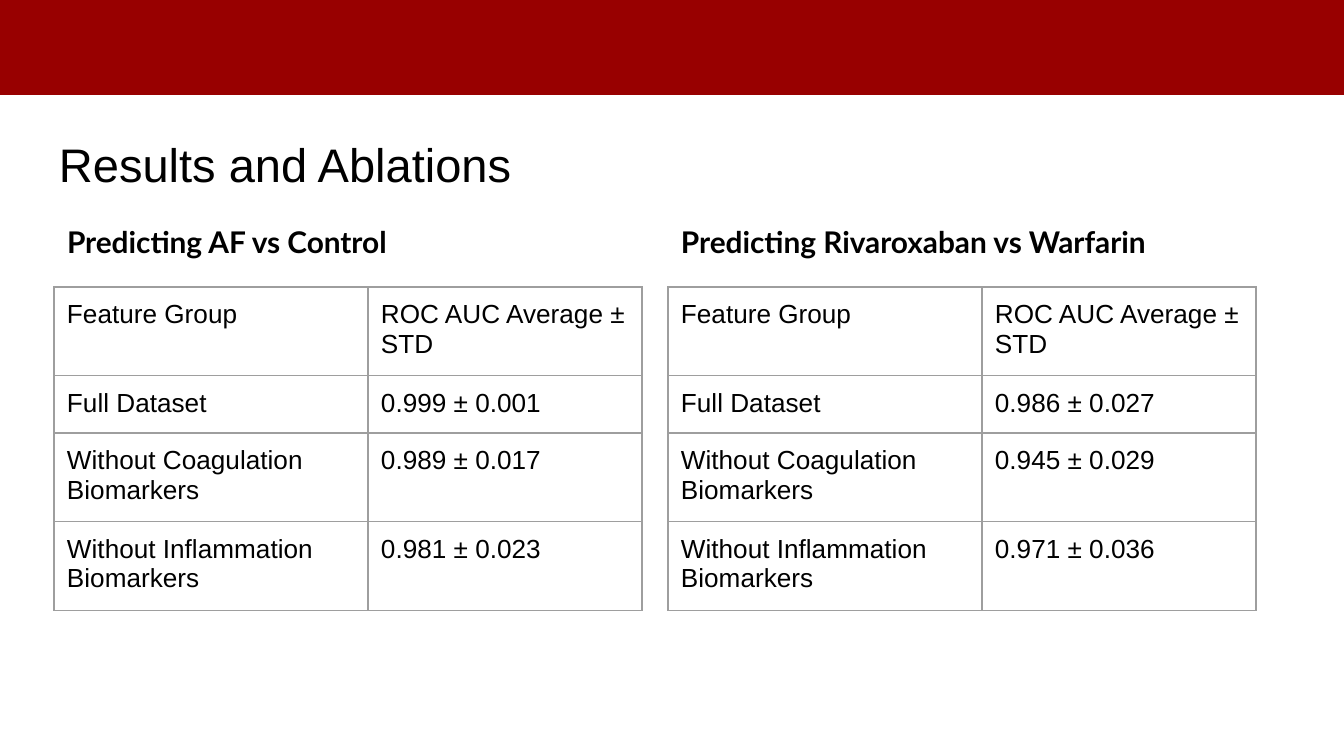
import pptx
import pptx.dml.color
import pptx.enum.shapes
import pptx.enum.text
import pptx.oxml
import pptx.oxml.ns
import pptx.util

RED = pptx.dml.color.RGBColor(0x98, 0x00, 0x00)
BLACK = pptx.dml.color.RGBColor(0x00, 0x00, 0x00)
GRID_GREY = pptx.dml.color.RGBColor(0x9E, 0x9E, 0x9E)

PX_PER_INCH = 134.4
INSET = 13
COLUMN_WIDTHS = [314, 274]
ROW_HEIGHTS = [87, 56, 86, 86]
HEADER = ["Feature Group", "ROC AUC Average ± STD"]
FEATURE_GROUPS = [
    "Full Dataset",
    "Without Coagulation Biomarkers",
    "Without Inflammation Biomarkers",
]
EXPERIMENTS = [
    ("Predicting AF vs Control", 422,
     ["0.999 ± 0.001", "0.989 ± 0.017", "0.981 ± 0.023"]),
    ("Predicting Rivaroxaban vs Warfarin", 555,
     ["0.986 ± 0.027", "0.945 ± 0.029", "0.971 ± 0.036"]),
]


def px(length):
    return pptx.util.Emu(round(length * 914400 / PX_PER_INCH))


def format_text(frame, size, font_name, bold=False):
    for paragraph in frame.paragraphs:
        for run in paragraph.runs:
            run.font.size = pptx.util.Pt(size)
            run.font.name = font_name
            run.font.bold = bold
            run.font.color.rgb = BLACK


def add_label(slide, text, box, size, font_name, bold=False):
    label = slide.shapes.add_textbox(*map(px, box))
    frame = label.text_frame
    frame.word_wrap = True
    frame.vertical_anchor = pptx.enum.text.MSO_ANCHOR.TOP
    frame.margin_left = frame.margin_right = px(INSET)
    frame.margin_top = frame.margin_bottom = px(INSET)
    frame.text = text
    format_text(frame, size, font_name, bold)


def add_banner(slide):
    banner = slide.shapes.add_shape(
        pptx.enum.shapes.MSO_SHAPE.RECTANGLE, 0, 0, px(1344), px(94))
    banner.shadow.inherit = False
    banner.fill.solid()
    banner.fill.fore_color.rgb = RED
    banner.line.color.rgb = RED
    banner.line.width = pptx.util.Pt(0.75)


def add_borders(cell):
    properties = cell._tc.get_or_add_tcPr()
    for position, side in enumerate(["lnL", "lnR", "lnT", "lnB"]):
        border = pptx.oxml.parse_xml(
            f'<a:{side} {pptx.oxml.ns.nsdecls("a")} w="{pptx.util.Pt(0.75)}">'
            f'<a:solidFill><a:srgbClr val="{GRID_GREY}"/></a:solidFill>'
            f'</a:{side}>')
        properties.insert(position, border)


def format_cell(cell, text):
    cell.text = text
    cell.margin_left = cell.margin_right = px(INSET)
    cell.margin_top = cell.margin_bottom = px(INSET)
    cell.fill.background()
    format_text(cell.text_frame, 14, "Arial")
    add_borders(cell)


def add_results_table(slide, left, scores):
    rows = [HEADER, *zip(FEATURE_GROUPS, scores)]
    table = slide.shapes.add_table(
        len(rows), len(HEADER), px(left), px(287),
        px(sum(COLUMN_WIDTHS)), px(sum(ROW_HEIGHTS))).table
    table.first_row = False
    table.horz_banding = False
    for column, width in zip(table.columns, COLUMN_WIDTHS):
        column.width = px(width)
    for row, height, texts in zip(table.rows, ROW_HEIGHTS, rows):
        row.height = px(height)
        for cell, text in zip(row.cells, texts):
            format_cell(cell, text)


def main():
    presentation = pptx.Presentation()
    presentation.slide_width = px(1344)
    presentation.slide_height = px(756)
    slide = presentation.slides.add_slide(presentation.slide_layouts[6])
    add_label(slide, "Results and Ablations", (46, 122, 1252, 85), 25.2, "Arial")
    add_banner(slide)
    for index, (heading, heading_width, scores) in enumerate(EXPERIMENTS):
        left = 54 + index * 614
        add_results_table(slide, left, scores)
        add_label(slide, heading, (left, 211, heading_width, 46), 16, "Lato", True)
    presentation.save("out.pptx")


if __name__ == "__main__":
    main()
